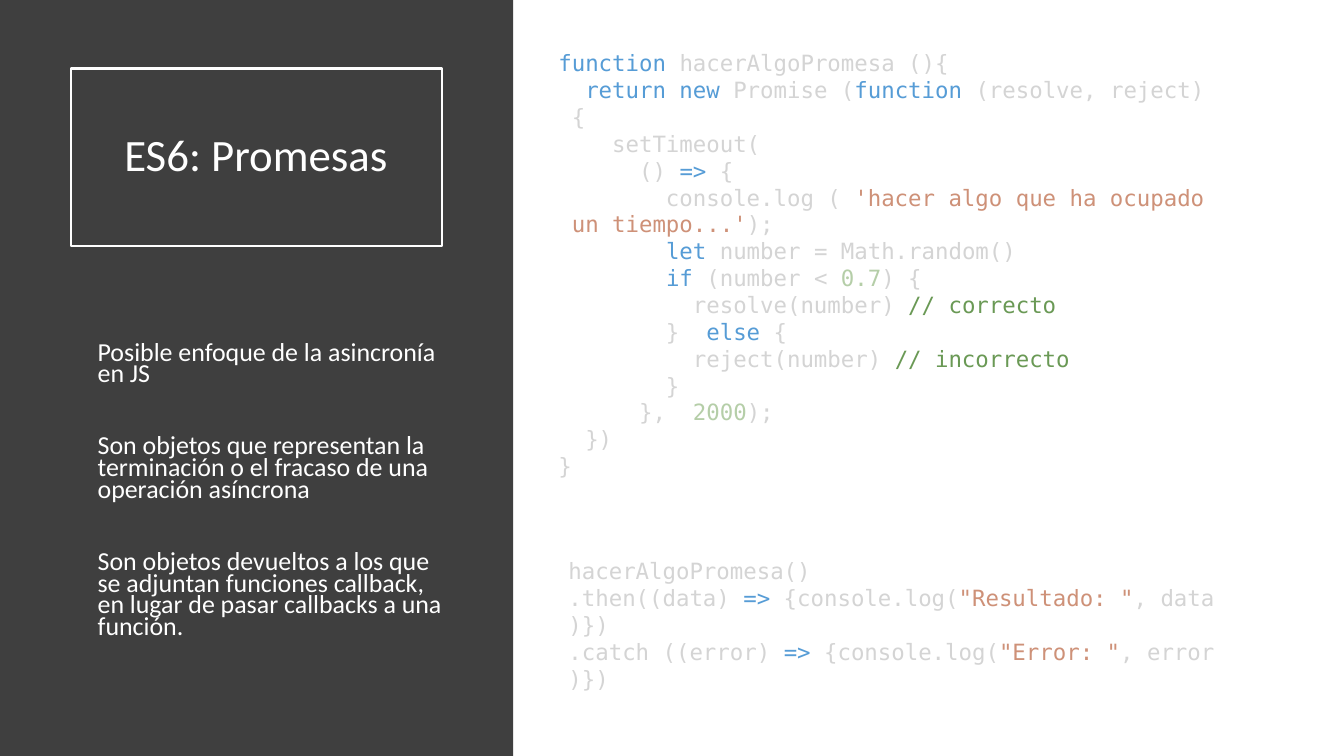
from dataclasses import dataclass

from pptx import Presentation
from pptx.dml.color import RGBColor
from pptx.enum.shapes import MSO_SHAPE
from pptx.enum.text import MSO_ANCHOR, MSO_AUTO_SIZE as FIT, PP_ALIGN
from pptx.util import Inches, Pt

WHITE = RGBColor(0xFF, 0xFF, 0xFF)
DARK = RGBColor(0x3F, 0x3F, 0x3F)
PLAIN = RGBColor(0xD4, 0xD4, 0xD4)
KEY = RGBColor(0x56, 0x9C, 0xD6)
TEXT = RGBColor(0xCE, 0x91, 0x78)
NUM = RGBColor(0xB5, 0xCE, 0xA8)
NOTE = RGBColor(0x6A, 0x99, 0x55)
SANS, MONO = "Calibri", "DejaVu Sans Mono"
HARD = chr(160)  # no-break space, keeps code indents


@dataclass
class Run:
    text: str
    color: RGBColor = PLAIN


@dataclass
class Box:
    left: float
    top: float
    width: float
    height: float
    lines: list[list[Run]]
    font: str
    size: float
    fit: FIT = FIT.NONE
    pitch: float = 1.0
    gap: float = 0


def add_run(para, run: Run, font: str, size: float) -> None:
    part = para.add_run()
    part.text = run.text
    part.font.name = font
    part.font.size = Pt(size)
    part.font.color.rgb = run.color


def add_box(slide, box: Box) -> None:
    place = map(Inches, (box.left, box.top, box.width, box.height))
    frame = slide.shapes.add_textbox(*place).text_frame
    frame.word_wrap = True
    frame.auto_size = box.fit
    for i, line in enumerate(box.lines):
        para = frame.add_paragraph() if i else frame.paragraphs[0]
        para.line_spacing = box.pitch
        para.space_before = Pt(box.gap if i else 0)
        for run in line:
            add_run(para, run, box.font, box.size)


def code(left: float, top: float, height: float, lines: list[list[Run]]) -> Box:
    hard = [[Run(r.text.replace(" ", HARD), r.color) for r in line] for line in lines]
    return Box(left, top, 6.67, height, hard, MONO, 16, FIT.SHAPE_TO_FIT_TEXT)


def chain(call: str, label: str, arg: str) -> list[Run]:
    return [Run(f".{call}(({arg}) "), Run("=>", KEY), Run(" {console.log("),
            Run(f'"{label}: "', TEXT), Run(f", {arg})}})")]


POINTS = [
    "Posible enfoque de la asincronía en JS",
    "Son objetos que representan la terminación o el fracaso de una operación asíncrona",
    "Son objetos devueltos a los que se adjuntan funciones callback, "
    "en lugar de pasar callbacks a una función.",
]

MAKER = [
    [Run("function ", KEY), Run("hacerAlgoPromesa (){")],
    [Run("  "), Run("return new ", KEY), Run("Promise ("), Run("function", KEY),
     Run(" (resolve, reject) {")],
    [Run("    setTimeout(")],
    [Run("      () "), Run("=>", KEY), Run(" {")],
    [Run("        console.log ( "),
     Run("'hacer algo que ha ocupado un tiempo...'", TEXT), Run(");")],
    [Run("        "), Run("let ", KEY), Run("number = Math.random()")],
    [Run("        "), Run("if", KEY), Run(" (number < "), Run("0.7", NUM), Run(") {")],
    [Run("          resolve(number) "), Run("// correcto", NOTE)],
    [Run("        }  "), Run("else", KEY), Run(" {")],
    [Run("          reject(number) "), Run("// incorrecto", NOTE)],
    [Run("        }")],
    [Run("      },  "), Run("2000", NUM), Run(");")],
    [Run("  })")],
    [Run("}")],
]

USAGE = [
    [Run("hacerAlgoPromesa()")],
    chain("then", "Resultado", "data"),
    chain("catch ", "Error", "error"),
]

BOXES = [
    Box(0.87, 3.36, 3.68, 3.25, [[Run(p, WHITE)] for p in POINTS],
        SANS, 18.5, pitch=0.7, gap=35.8),
    code(5.44, 0.44, 4.51, MAKER),
    code(5.54, 5.48, 0.91, USAGE),
]


def main() -> None:
    deck = Presentation()
    deck.slide_width, deck.slide_height = Inches(13.33), Inches(7.5)
    slide = deck.slides.add_slide(deck.slide_layouts[5])
    slide.background.fill.solid()
    slide.background.fill.fore_color.rgb = WHITE

    # Dark side panel, placed behind the title
    panel = slide.shapes.add_shape(MSO_SHAPE.RECTANGLE, 0, 0, Inches(5.09), Inches(7.5))
    panel.shadow.inherit = False
    panel.fill.solid()
    panel.fill.fore_color.rgb = DARK
    panel.line.fill.background()
    title = slide.shapes.title
    title.element.addprevious(panel.element)

    # Framed title
    title.left, title.top = Inches(0.7), Inches(0.68)
    title.width, title.height = Inches(3.68), Inches(1.76)
    title.line.color.rgb = WHITE
    title.line.width = Pt(1.5)
    frame = title.text_frame
    frame.auto_size = FIT.NONE
    frame.word_wrap = True
    frame.vertical_anchor = MSO_ANCHOR.MIDDLE
    head = frame.paragraphs[0]
    head.alignment = PP_ALIGN.CENTER
    head.line_spacing = 0.9
    add_run(head, Run("ES6: Promesas", WHITE), SANS, 32)

    # Points and code
    for box in BOXES:
        add_box(slide, box)

    deck.save("out.pptx")


if __name__ == "__main__":
    main()
